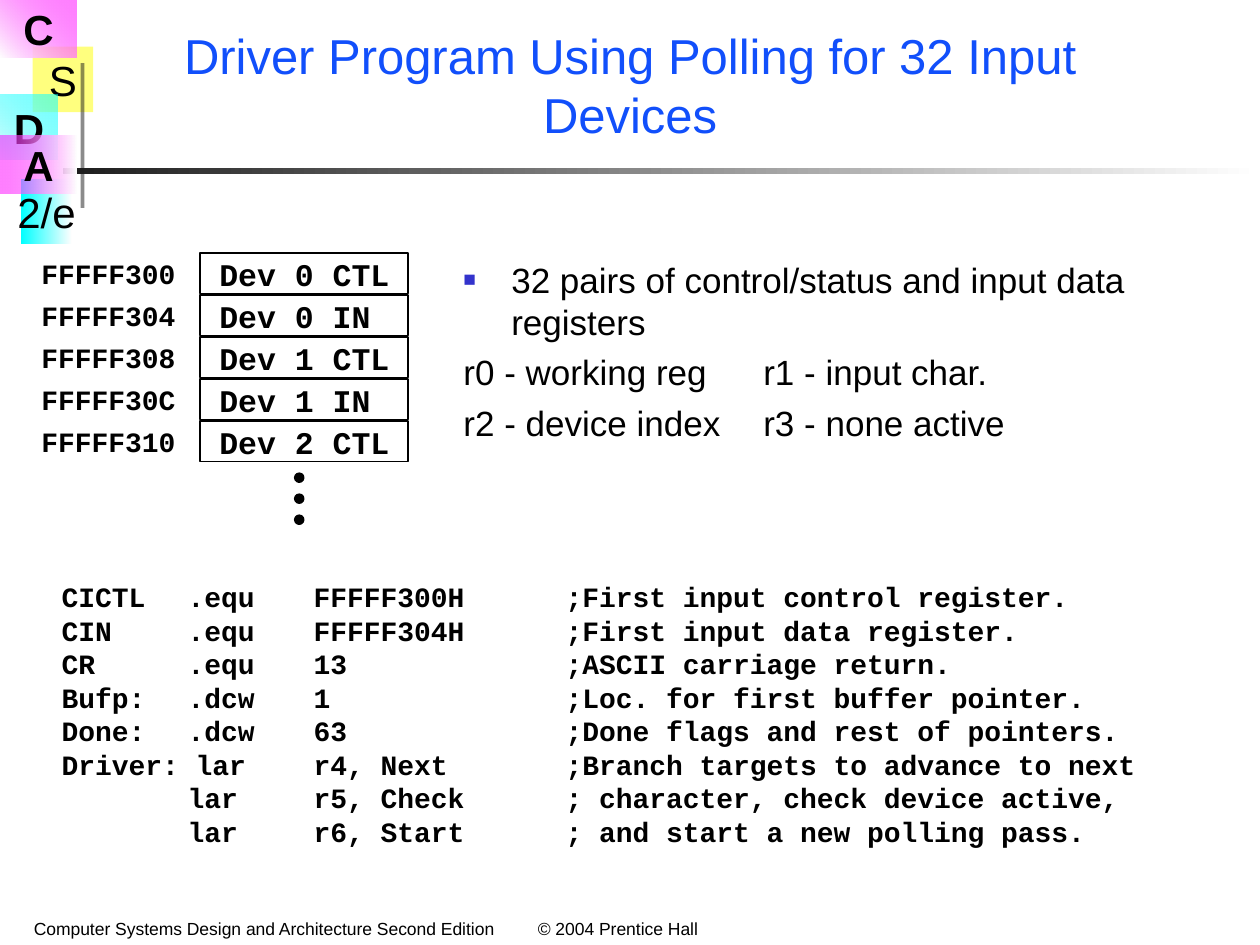
from lxml import etree
from pptx import Presentation
from pptx.dml.color import RGBColor
from pptx.enum.shapes import MSO_SHAPE
from pptx.enum.text import MSO_ANCHOR, PP_ALIGN
from pptx.oxml import parse_xml
from pptx.oxml.ns import nsdecls, qn
from pptx.util import Inches, Pt

SANS, MONO = "Arial", "Courier New"
BLACK, WHITE, BLUE = "000000", "FFFFFF", "114FFB"
PINK, CYAN, YELLOW, DARK = "FF05FF", "00FFFF", "FFFF02", "1C1C1C"

REGISTERS = [
    ("FFFFF300", "Dev 0 CTL"),
    ("FFFFF304", "Dev 0 IN"),
    ("FFFFF308", "Dev 1 CTL"),
    ("FFFFF30C", "Dev 1 IN"),
    ("FFFFF310", "Dev 2 CTL"),
]
CODE = [
    "CICTL\t.equ\tFFFFF300H\t;First input control register.",
    "CIN\t.equ\tFFFFF304H\t;First input data register.",
    "CR\t.equ\t13\t;ASCII carriage return.",
    "Bufp:\t.dcw\t1\t;Loc. for first buffer pointer.",
    "Done:\t.dcw\t63\t;Done flags and rest of pointers.",
    "Driver: lar\tr4, Next\t;Branch targets to advance to next",
    "\tlar\tr5, Check\t; character, check device active,",
    "\tlar\tr6, Start\t; and start a new polling pass.",
]


def rgb(color):
    return RGBColor.from_string(color)


def color_stop(pos, color, opacity=100):
    return (f'<a:gs pos="{pos * 1000}"><a:srgbClr val="{color}">'
            f'<a:alpha val="{opacity * 1000}"/></a:srgbClr></a:gs>')


def set_gradient(sp, start, end, angle):
    """Fill from start to end, each (color, opacity); angle is clockwise."""
    sp.fill.background()
    old = sp._element.spPr.find(qn("a:noFill"))
    old.getparent().replace(old, parse_xml(
        f'<a:gradFill {nsdecls("a")} rotWithShape="1"><a:gsLst>'
        f'{color_stop(0, *start)}{color_stop(100, *end)}</a:gsLst>'
        f'<a:lin ang="{angle * 60000}" scaled="0"/></a:gradFill>'))


def set_solid(sp, color, opacity=100):
    sp.fill.solid()
    sp.fill.fore_color.rgb = rgb(color)
    if opacity < 100:
        clr = sp._element.spPr.find(qn("a:solidFill"))[0]
        etree.SubElement(clr, qn("a:alpha")).set("val", str(opacity * 1000))


def add_box(s, x, y, w, h, line=None, kind=MSO_SHAPE.RECTANGLE):
    sp = s.shapes.add_shape(kind, Inches(x), Inches(y), Inches(w), Inches(h))
    sp.shadow.inherit = False
    if line:
        sp.line.color.rgb = rgb(line)
        sp.line.width = Pt(1)
    else:
        sp.line.fill.background()
    return sp


def add_text_frame(s, x, y, w, h):
    tf = s.shapes.add_textbox(Inches(x), Inches(y), Inches(w), Inches(h)).text_frame
    tf.word_wrap = True
    return tf


def set_tabs(p, stops):
    tabs = etree.SubElement(p._p.get_or_add_pPr(), qn("a:tabLst"))
    for stop in stops:
        etree.SubElement(tabs, qn("a:tab"), pos=str(Inches(stop)), algn="l")


def add_bullet(p, char, color, percent, indent):
    pPr = p._p.get_or_add_pPr()
    pPr.set("marL", str(Inches(indent)))
    pPr.set("indent", str(-Inches(indent)))
    clr = etree.SubElement(pPr, qn("a:buClr"))
    etree.SubElement(clr, qn("a:srgbClr")).set("val", color)
    etree.SubElement(pPr, qn("a:buSzPct")).set("val", str(percent * 1000))
    etree.SubElement(pPr, qn("a:buFont")).set("typeface", SANS)
    etree.SubElement(pPr, qn("a:buChar")).set("char", char)


def add_run(p, text, size, font=SANS, color=BLACK, bold=False):
    r = p.add_run()
    r.text = text
    r.font.size, r.font.name, r.font.bold = Pt(size), font, bold
    r.font.color.rgb = rgb(color)


def add_mono(p, text, size):
    p.alignment = PP_ALIGN.LEFT
    p.line_spacing = Pt(size * 1.2)
    add_run(p, text, size, MONO, bold=True)


def add_emblem(s, x, y):
    """Lettered color blocks and the two bars that meet beside them."""
    def block(letter, left, top, w, h, bold=True):
        sp = add_box(s, x + left, y + top, w, h)
        tf = sp.text_frame
        tf.word_wrap = False
        tf.vertical_anchor = MSO_ANCHOR.MIDDLE
        p = tf.paragraphs[0]
        p.alignment = PP_ALIGN.CENTER
        add_run(p, letter, 24, bold=bold)
        return sp

    set_solid(block("S", 0.26, 0.37, 0.48, 0.52, bold=False), YELLOW, 51)
    set_gradient(block("2/e", 0.17, 1.42, 0.4, 0.52, bold=False),
                 ("FEFEFE",), ("02FFFF",), 180)
    set_gradient(block("C", 0, 0, 0.61, 0.46), (PINK, 51), ("FEFEFE",), 135)
    set_solid(add_box(s, x + 0.64, y + 0.5, 0.03, 1.15), DARK, 51)
    set_gradient(add_box(s, x + 0.5, y + 1.33, 9.5, 0.05), (WHITE,), (DARK,), 180)
    set_gradient(block("D", 0, 0.75, 0.46, 0.52), (CYAN, 51), ("DCFEFE",), 135)
    set_gradient(block("A", 0, 1.08, 0.61, 0.46), ("FEFEFE",), (PINK, 51), 180)


def add_footer(s, x, y, w, h):
    p = add_text_frame(s, x, y, w, h).paragraphs[0]
    set_tabs(p, [4])
    add_run(p, "Computer Systems Design and Architecture Second Edition"
               "\t© 2004 Prentice Hall", 10)


def add_title(s, x, y, w, h):
    tf = add_text_frame(s, x, y, w, h)
    tf.vertical_anchor = MSO_ANCHOR.MIDDLE
    p = tf.paragraphs[0]
    p.alignment = PP_ALIGN.CENTER
    add_run(p, "Driver Program Using Polling for 32 Input Devices", 28, color=BLUE)


def add_code(s, x, y, w, h):
    tf = add_text_frame(s, x, y, w, h)
    for i, line in enumerate(CODE):
        p = tf.add_paragraph() if i else tf.paragraphs[0]
        set_tabs(p, [1, 2, 4])
        add_mono(p, line, 16)


def add_notes_on_registers(s, x, y, w, h):
    tf = add_text_frame(s, x, y, w, h)
    p = tf.paragraphs[0]
    add_bullet(p, "■", "3333CC", 60, 0.38)
    add_run(p, "32 pairs of control/status and input data registers", 20)
    for line in ("r0 - working reg\tr1 - input char.",
                 "r2 - device index\tr3 - none active"):
        p = tf.add_paragraph()
        set_tabs(p, [2.38])
        p.space_before = Pt(5)
        add_run(p, line, 20)


def add_memory_map(s, x, y, pitch):
    """Register cells with their addresses, and dots below for the rest."""
    label_w, cell_x, cell_w, cell_h = 1.35, x + 1.36, 1.65, 0.32
    for i, (address, register) in enumerate(REGISTERS):
        top = y + i * pitch
        cell = add_box(s, cell_x, top, cell_w, cell_h, line=BLACK)
        set_solid(cell, WHITE)
        tf = cell.text_frame
        tf.margin_left = Inches(0.15)
        tf.margin_right = 0
        label = add_text_frame(s, x, top, label_w, cell_h)
        label.margin_right = 0
        for frame, text, size in ((tf, register, 18), (label, address, 16)):
            frame.margin_top = frame.margin_bottom = 0
            frame.vertical_anchor = MSO_ANCHOR.MIDDLE
            add_mono(frame.paragraphs[0], text, size)
    dot = 0.07
    for i in range(3):
        top = y + len(REGISTERS) * pitch + 0.08 + i * pitch / 2
        set_solid(add_box(s, cell_x + 0.75, top, dot, dot, BLACK, MSO_SHAPE.OVAL), BLACK)


def main():
    prs = Presentation()
    prs.slide_width, prs.slide_height = Inches(10), Inches(7.5)
    s = prs.slides.add_slide(prs.slide_layouts[6])
    add_emblem(s, 0, 0)
    add_footer(s, 0.17, 7.24, 9.6, 0.26)
    add_title(s, 0.74, 0.17, 8.52, 1)
    add_code(s, 0.39, 4.55, 9.19, 2.23)
    add_notes_on_registers(s, 3.58, 2, 5.67, 1.92)
    add_memory_map(s, 0.23, 2.01, 1 / 3)
    prs.save("out.pptx")


if __name__ == "__main__":
    main()
